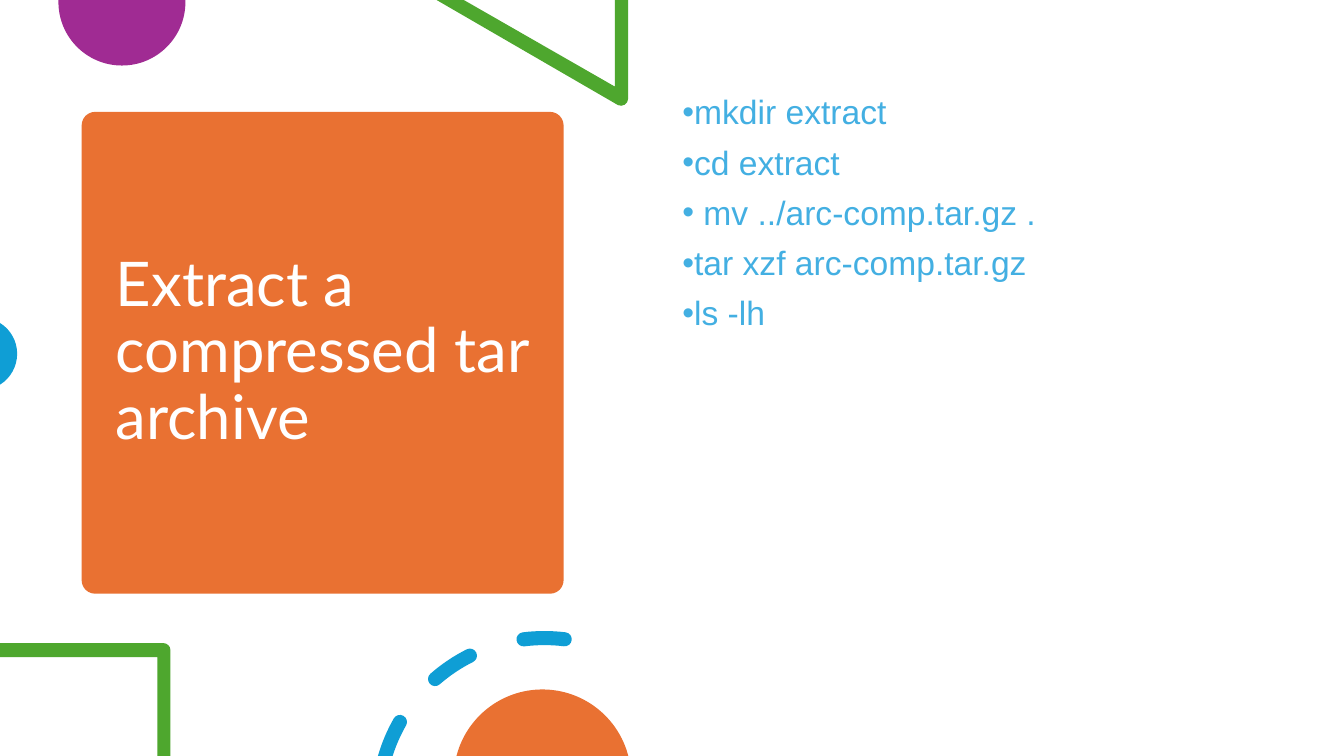
"""Build the slide on extracting a compressed tar archive."""
import math

import lxml.etree
import pptx
import pptx.dml.color
import pptx.enum.shapes
import pptx.enum.text
import pptx.oxml
import pptx.oxml.ns
import pptx.util

Inches = pptx.util.Inches
Pt = pptx.util.Pt
RGBColor = pptx.dml.color.RGBColor
qn = pptx.oxml.ns.qn

ORANGE = RGBColor(0xE9, 0x71, 0x32)
PURPLE = RGBColor(0xA0, 0x2B, 0x93)
GREEN = RGBColor(0x4E, 0xA7, 0x2E)
BLUE = RGBColor(0x0F, 0x9E, 0xD5)
SKY = RGBColor(0x43, 0xAF, 0xE2)
WHITE = RGBColor(0xFF, 0xFF, 0xFF)

SLIDE_WIDTH, SLIDE_HEIGHT = 13.33, 7.5
HEADING = "Extract a compressed tar archive"
COMMANDS = [
    "mkdir extract",
    "cd extract",
    " mv ../arc-comp.tar.gz .",
    "tar xzf arc-comp.tar.gz",
    "ls -lh",
]
CARD_BOX = (0.81, 1.11, 4.78, 4.78)
HEADING_BOX = (1.05, 1.22, 4.31, 4.56)
COMMANDS_BOX = (6.67, 0.9, 5.75, 5.35)

RING_CENTER, RING_RADIUS, RING_HALF = (5.4, 7.98), 1.65, 0.07
RING_DASHES = [(-41.1, -26.6), (-7.2, 7.0)]
CUT_DASH_END = -60.3


def on_circle(center, radius, angle):
    """Return a point on a circle, in degrees clockwise from the top."""
    turn = math.radians(angle)
    return center[0] + radius * math.sin(turn), center[1] - radius * math.cos(turn)


def arc(center, radius, start, end):
    """Return an arc as its first point and then Bezier triples."""
    pieces = math.ceil(abs(end - start) / 95)
    step = (end - start) / pieces
    reach = 4 / 3 * math.tan(math.radians(step) / 4)
    stretch = radius * math.hypot(1, reach)
    lean = math.degrees(math.atan(reach))
    curve = [(on_circle(center, radius, start),)]
    for piece in range(pieces):
        first, last = start + piece * step, start + (piece + 1) * step
        curve.append((on_circle(center, stretch, first + lean),
                      on_circle(center, stretch, last - lean),
                      on_circle(center, radius, last)))
    return curve


def corners(*points):
    """Return straight steps through the points."""
    return [(point,) for point in points]


def ring_dash(outer_start, inner_start, end, round_start):
    """Return the outline of one dash of the ring with round ends."""
    outline = arc(RING_CENTER, RING_RADIUS + RING_HALF, outer_start, end)
    tip = on_circle(RING_CENTER, RING_RADIUS, end)
    outline += arc(tip, RING_HALF, end, end + 180)[1:]
    outline += arc(RING_CENTER, RING_RADIUS - RING_HALF, end, inner_start)[1:]
    if round_start:
        tail = on_circle(RING_CENTER, RING_RADIUS, inner_start)
        outline += arc(tail, RING_HALF, inner_start + 180, inner_start + 360)[1:]
    return outline


def edge_angle(radius):
    """Return the angle at which the ring meets the bottom of the slide."""
    return -math.degrees(math.acos((RING_CENTER[1] - SLIDE_HEIGHT) / radius))


def paint(shape, color):
    """Give a shape a flat fill with no line or shadow."""
    shape.shadow.inherit = False
    shape.fill.solid()
    shape.fill.fore_color.rgb = color
    shape.line.fill.background()


def add_outline(slide, contours, color):
    """Draw closed contours as one freeform, with its arcs as Bezier curves."""
    builder = None
    for contour in contours:
        ends = [tuple(map(Inches, step[-1])) for step in contour]
        if builder is None:
            builder = slide.shapes.build_freeform(*ends[0], scale=1.0)
        else:
            builder.move_to(*ends[0])
        builder.add_line_segments(ends[1:], close=True)
    shape = builder.convert_to_shape()
    steps = [step for contour in contours for step in contour[1:]]
    for straight, step in zip(list(shape._element.iter(qn("a:lnTo"))), steps):
        if len(step) == 3:
            straight.getparent().replace(straight, bezier(step, shape.left, shape.top))
    paint(shape, color)


def bezier(step, left, top):
    """Return the XML of one Bezier curve relative to its shape."""
    curve = lxml.etree.Element(qn("a:cubicBezTo"))
    for x, y in step:
        lxml.etree.SubElement(curve, qn("a:pt"), x=str(Inches(x) - left), y=str(Inches(y) - top))
    return curve


def add_text(slide, box, lines, font, size, color, anchor):
    """Add a wrapped text box and return its paragraphs."""
    frame = slide.shapes.add_textbox(*map(Inches, box)).text_frame
    frame.word_wrap = True
    frame.vertical_anchor = anchor
    frame.text = "\n".join(lines)
    for paragraph in frame.paragraphs:
        paragraph.line_spacing = 0.9
        for run in paragraph.runs:
            run.font.name = font
            run.font.size = Pt(size)
            run.font.color.rgb = color
    return frame.paragraphs


def add_bullet(paragraph, color):
    """Put a coloured bullet before a paragraph."""
    properties = paragraph._p.get_or_add_pPr()
    bullet_color = lxml.etree.SubElement(properties, qn("a:buClr"))
    lxml.etree.SubElement(bullet_color, qn("a:srgbClr"), val=str(color))
    lxml.etree.SubElement(properties, qn("a:buFont"), typeface="Arial")
    lxml.etree.SubElement(properties, qn("a:buChar"), char="•")


def main():
    """Compose and save the slide."""
    deck = pptx.Presentation()
    deck.slide_width, deck.slide_height = Inches(SLIDE_WIDTH), Inches(SLIDE_HEIGHT)
    slide = deck.slides.add_slide(deck.slide_layouts[6])

    card = slide.shapes.add_shape(
        pptx.enum.shapes.MSO_SHAPE.ROUNDED_RECTANGLE, *map(Inches, CARD_BOX))
    card.adjustments[0] = 0.028
    paint(card, ORANGE)
    anchors = pptx.enum.text.MSO_ANCHOR
    add_text(slide, HEADING_BOX, [HEADING], "Lato", 44, WHITE, anchors.MIDDLE)

    purple_disc = (corners((1.84, 0)) + arc((1.21, 0.02), 0.63, 90, 270)
                   + corners((0.58, 0)))
    triangle = (corners((6.23, 0)) + arc((6.16, 0.98), 0.07, 90, 205)
                + corners((4.33, 0), (4.6, 0), (6.1, 0.86), (6.1, 0)))
    blue_disc = arc((-0.19, 3.51), 0.36, 31.9, 148.1)
    square = (corners((0, 6.38)) + arc((1.62, 6.45), 0.07, 0, 90)
              + corners((1.69, 7.5), (1.56, 7.5), (1.56, 6.52), (0, 6.52)))
    cut_dash = ring_dash(edge_angle(RING_RADIUS + RING_HALF),
                         edge_angle(RING_RADIUS - RING_HALF), CUT_DASH_END, False)
    ring = [cut_dash] + [ring_dash(start, start, end, True) for start, end in RING_DASHES]
    orange_disc = arc((5.38, 7.72), 0.88, -75.5, 75.5)

    for contours, color in (
        ([purple_disc], PURPLE),
        ([triangle], GREEN),
        ([blue_disc], BLUE),
        ([square], GREEN),
        (ring, BLUE),
        ([orange_disc], ORANGE),
    ):
        add_outline(slide, contours, color)

    commands = add_text(slide, COMMANDS_BOX, COMMANDS, "Arial", 24, SKY, anchors.TOP)
    for index, command in enumerate(commands):
        command.space_before = Pt(10 if index else 0)
        add_bullet(command, SKY)

    deck.save("out.pptx")


if __name__ == "__main__":
    main()
